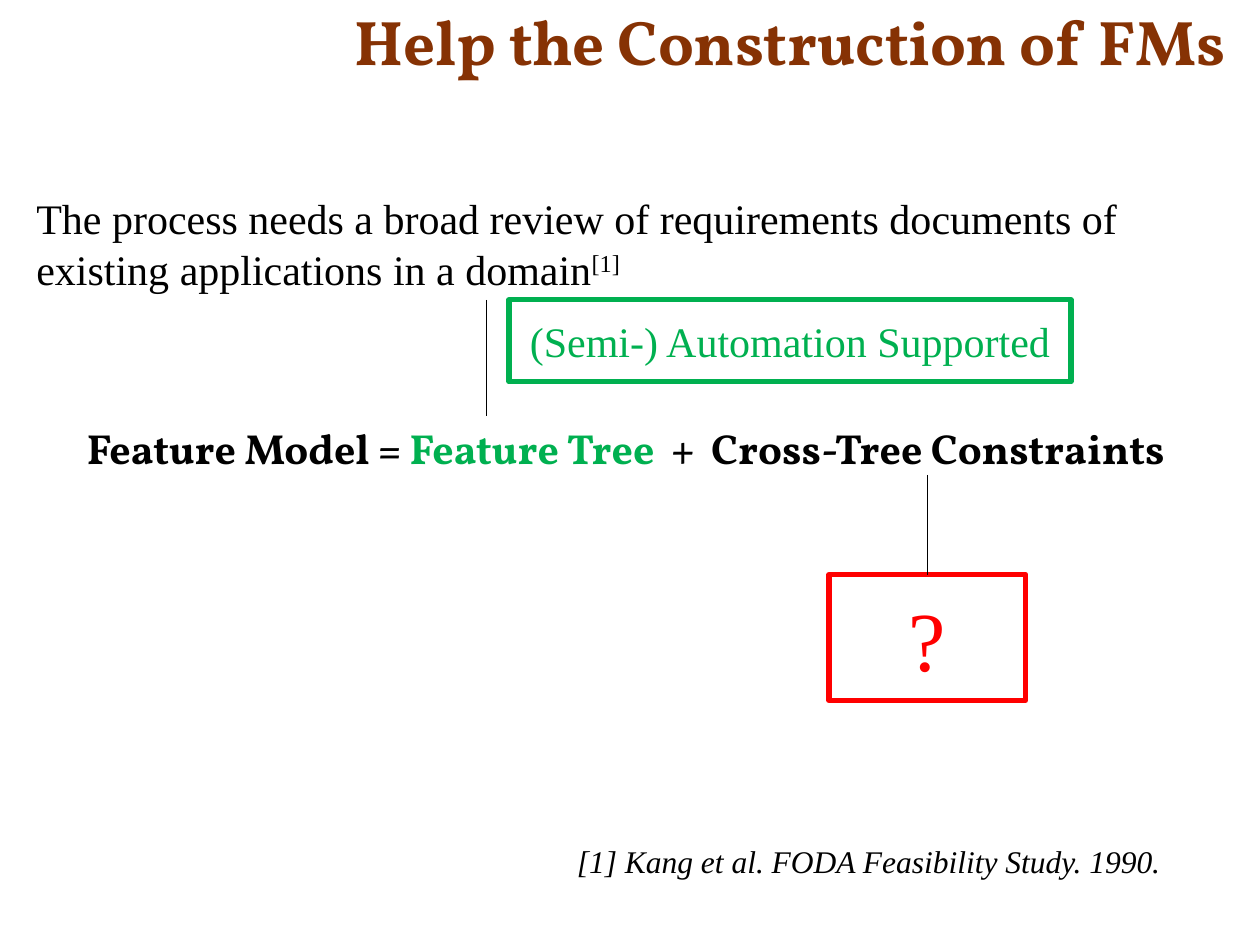
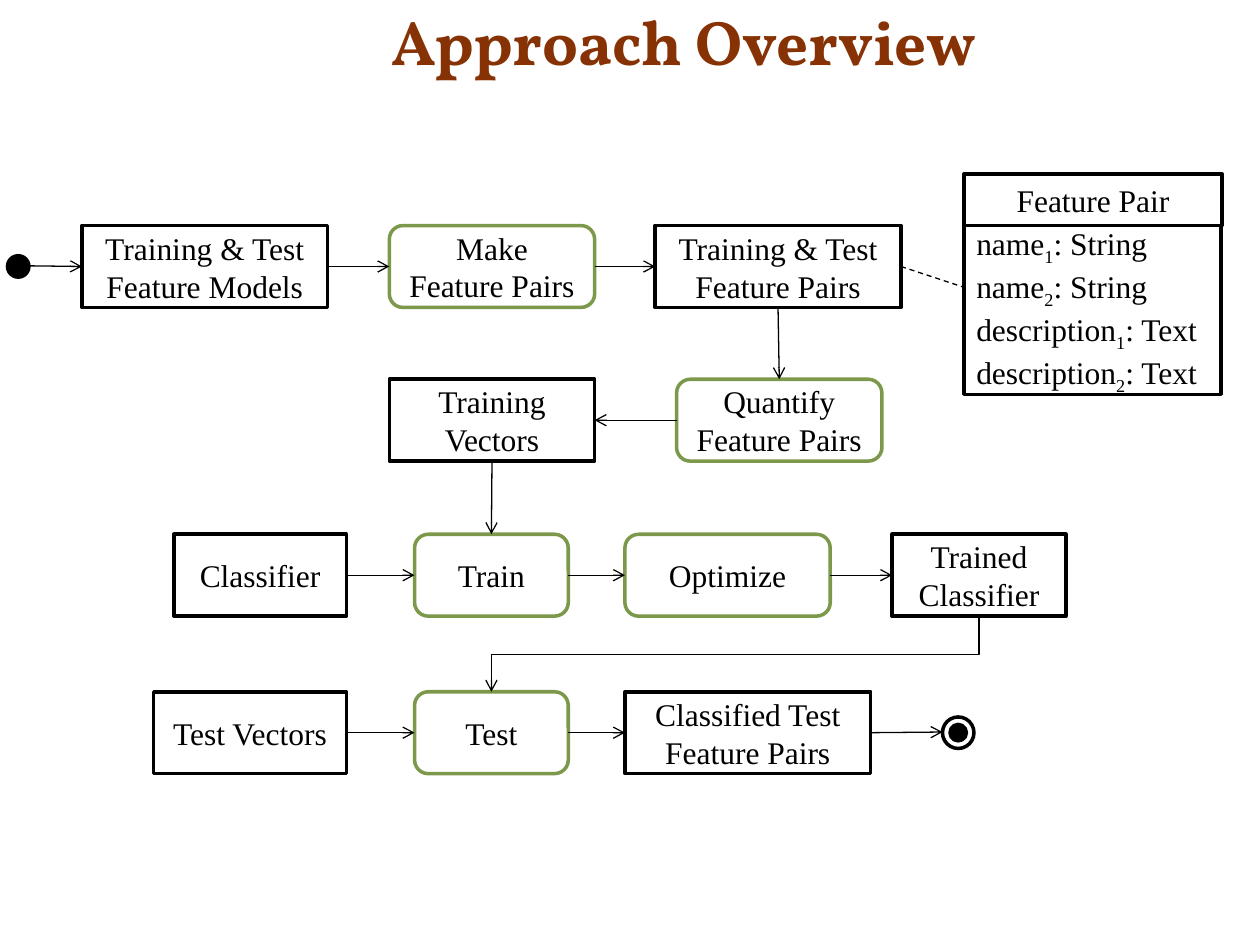
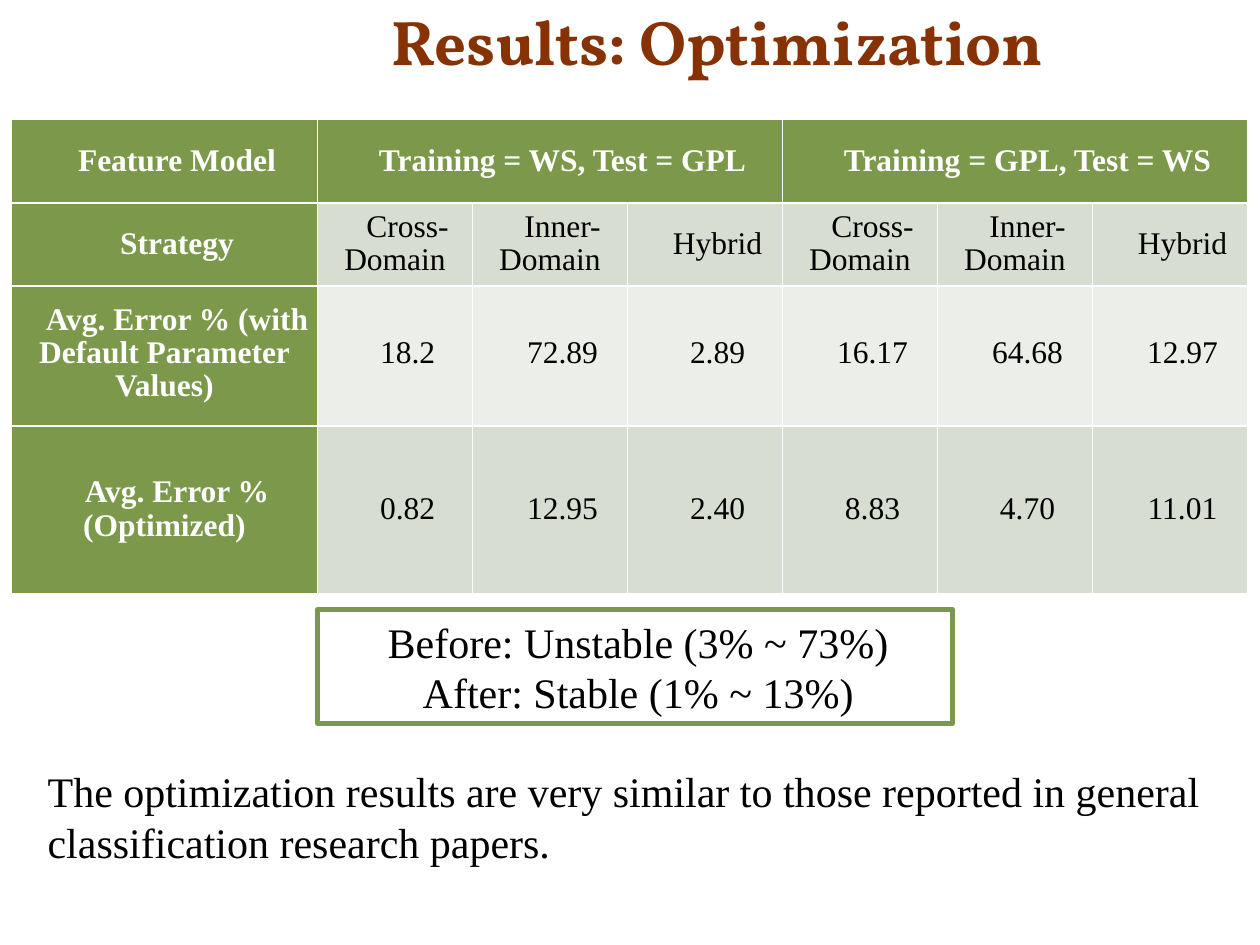
from lxml.etree import SubElement
from pptx import Presentation
from pptx.dml.color import RGBColor
from pptx.enum.dml import MSO_LINE
from pptx.enum.shapes import MSO_CONNECTOR, MSO_SHAPE
from pptx.enum.text import MSO_ANCHOR, MSO_AUTO_SIZE, PP_ALIGN
from pptx.oxml.ns import qn
from pptx.util import Inches, Pt

BLACK = RGBColor(0x00, 0x00, 0x00)
WHITE = RGBColor(0xFF, 0xFF, 0xFF)
BROWN = RGBColor(0x86, 0x32, 0x04)
GREEN = RGBColor(0x00, 0xB0, 0x50)
RED = RGBColor(0xFF, 0x00, 0x00)
OLIVE = RGBColor(0x7C, 0x98, 0x4A)
DARK_BAND = RGBColor(0xD7, 0xDD, 0xD0)
LIGHT_BAND = RGBColor(0xEC, 0xEF, 0xE9)
SERIF = "Times New Roman"
DISPLAY = "Vollkorn"


def write(para, text, size=18, font=SERIF, color=BLACK, bold=False,
          italic=False, baseline=0, align=PP_ALIGN.LEFT):
    para.alignment = align
    span = para.add_run()
    span.text = text
    span.font.size = Pt(size)
    span.font.name = font
    span.font.color.rgb = color
    span.font.bold = bold
    span.font.italic = italic
    if baseline:
        span.font._element.set("baseline", str(baseline * 1000))


def add_box(page, kind, left, top, width, height, line, weight=2, fill=WHITE):
    box = page.shapes.add_shape(kind, Inches(left), Inches(top), Inches(width), Inches(height))
    box.shadow.inherit = False
    if fill is None:
        box.fill.background()
    else:
        box.fill.solid()
        box.fill.fore_color.rgb = fill
    box.line.color.rgb = line
    box.line.width = Pt(weight)
    box.text_frame.word_wrap = True
    box.text_frame.vertical_anchor = MSO_ANCHOR.MIDDLE
    return box


deck = Presentation()
deck.slide_width, deck.slide_height = Inches(10), Inches(7.5)

# Pages and titles
titles = [
    ("Help the Construction of FMs", 2.71, -0.64, 7.13, 1.31),
    ("Approach Overview", 3.01, -0.03, 6.84, 0.7),
    ("Results: Optimization", 3.01, -0.03, 6.84, 0.7),
]
for text, left, top, width, height in titles:
    title = deck.slides.add_slide(deck.slide_layouts[5]).shapes.title
    title.left, title.top = Inches(left), Inches(top)
    title.width, title.height = Inches(width), Inches(height)
    title.text_frame.auto_size = MSO_AUTO_SIZE.NONE
    title.text_frame.vertical_anchor = MSO_ANCHOR.BOTTOM
    write(title.text_frame.paragraphs[0], text, size=36, font=DISPLAY, color=BROWN, bold=True)
problem, overview, results = deck.slides

# Problem: texts, each a list of runs with their formats
model = dict(size=24, font=DISPLAY, bold=True, align=PP_ALIGN.CENTER)
problem_texts = [
    (0.35, 3.3, 9.23, 0.62, [
        ("Feature Model = ", model),
        ("Feature Tree ", model | dict(color=GREEN)),
        (" +  Cross-Tree Constraints", model)]),
    (0.19, 1.48, 9.13, 0.91, [
        ("The process needs a broad review of requirements documents of "
         "existing applications in a domain", dict(size=24)),
        ("[1]", dict(size=24, baseline=30))]),
    (4.48, 6.63, 4.94, 0.4, [
        ("[1] Kang et al. FODA Feasibility Study. 1990.", dict(italic=True))]),
]
for left, top, width, height, spans in problem_texts:
    box = problem.shapes.add_textbox(Inches(left), Inches(top), Inches(width), Inches(height))
    box.text_frame.word_wrap = True
    for text, style in spans:
        write(box.text_frame.paragraphs[0], text, **style)

# Problem: framed answers and their lines
automation = add_box(problem, MSO_SHAPE.RECTANGLE, 4.04, 2.38, 4.46, 0.65, GREEN, 3)
write(automation.text_frame.paragraphs[0], "(Semi-) Automation Supported",
      size=24, color=GREEN, align=PP_ALIGN.CENTER)
question = add_box(problem, MSO_SHAPE.RECTANGLE, 6.58, 4.56, 1.56, 1, RED, 3, None)
write(question.text_frame.paragraphs[0], "?", size=48, color=RED, align=PP_ALIGN.CENTER)

plain_lines = []
for x, top, bottom in [(3.86, 2.38, 3.3), (7.36, 3.77, 4.56)]:
    plain_lines.append(problem.shapes.add_connector(
        MSO_CONNECTOR.STRAIGHT, Inches(x), Inches(top), Inches(x), Inches(bottom)))
plain_lines[1].end_connect(question, 0)

# Overview: steps are rounded and olive, data are square and black
STEP, DATA = MSO_SHAPE.ROUNDED_RECTANGLE, MSO_SHAPE.RECTANGLE
ROW_1, ROW_2, ROW_3, ROW_4 = 1.79, 3.01, 4.24, 5.49
nodes = [
    ("make", STEP, 3.09, ROW_1, 1.63, "Make Feature Pairs"),
    ("models", DATA, 0.65, ROW_1, 1.95, "Training & Test Feature Models"),
    ("pairs", DATA, 5.2, ROW_1, 1.95, "Training & Test Feature Pairs"),
    ("training vectors", DATA, 3.09, ROW_2, 1.63, "Training Vectors"),
    ("test vectors", DATA, 1.22, ROW_4, 1.53, "Test Vectors"),
    ("classified", DATA, 4.96, ROW_4, 1.95, "Classified Test Feature Pairs"),
    ("quantify", STEP, 5.37, ROW_2, 1.63, "Quantify Feature Pairs"),
    ("train", STEP, 3.29, ROW_3, 1.22, "Train"),
    ("optimize", STEP, 4.96, ROW_3, 1.63, "Optimize"),
    ("test", STEP, 3.29, ROW_4, 1.22, "Test"),
    ("classifier", DATA, 1.38, ROW_3, 1.37, "Classifier"),
    ("trained", DATA, 7.08, ROW_3, 1.38, "Trained Classifier"),
]
boxes = {}
for name, kind, left, top, width, label in nodes:
    boxes[name] = add_box(overview, kind, left, top, width, 0.65,
                          OLIVE if kind == STEP else BLACK)
    write(boxes[name].text_frame.paragraphs[0], label, align=PP_ALIGN.CENTER)

# Overview: start and end marks
for left, top, size, fill in [(7.48, 5.69, 0.25, WHITE), (7.54, 5.75, 0.13, BLACK),
                              (0.06, 2.03, 0.17, BLACK)]:
    add_box(overview, MSO_SHAPE.OVAL, left, top, size, size, BLACK, fill=fill)

# Overview: the feature pair class
pair_head = add_box(overview, DATA, 7.65, 1.38, 2.05, 0.41, BLACK)
write(pair_head.text_frame.paragraphs[0], "Feature Pair", align=PP_ALIGN.CENTER)
pair_body = add_box(overview, DATA, 7.65, 1.79, 2.04, 1.34, BLACK)
fields = [("name", "1", ": String"), ("name", "2", ": String"),
          ("description", "1", ": Text"), ("description", "2", ": Text")]
for index, (field, number, kind) in enumerate(fields):
    frame = pair_body.text_frame
    para = frame.add_paragraph() if index else frame.paragraphs[0]
    write(para, field)
    write(para, number, baseline=-25)
    write(para, kind)

# Overview: arrows between the sides of boxes
TOP, LEFT, BOTTOM, RIGHT = range(4)
flows = [
    ("models", RIGHT, "make", LEFT),
    ("make", RIGHT, "pairs", LEFT),
    ("pairs", BOTTOM, "quantify", TOP),
    ("quantify", LEFT, "training vectors", RIGHT),
    ("training vectors", BOTTOM, "train", TOP),
    ("classifier", RIGHT, "train", LEFT),
    ("train", RIGHT, "optimize", LEFT),
    ("optimize", RIGHT, "trained", LEFT),
    ("test vectors", RIGHT, "test", LEFT),
    ("test", RIGHT, "classified", LEFT),
]
arrows = []
for source, source_side, target, target_side in flows:
    arrow = overview.shapes.add_connector(MSO_CONNECTOR.STRAIGHT, 0, 0, 0, 0)
    arrow.begin_connect(boxes[source], source_side)
    arrow.end_connect(boxes[target], target_side)
    arrows.append(arrow)

from_start = overview.shapes.add_connector(
    MSO_CONNECTOR.STRAIGHT, Inches(0.24), Inches(2.11), Inches(0.65), Inches(2.11))
from_start.end_connect(boxes["models"], LEFT)
to_end = overview.shapes.add_connector(
    MSO_CONNECTOR.STRAIGHT, Inches(6.91), Inches(5.81), Inches(7.48), Inches(5.81))
to_end.begin_connect(boxes["classified"], RIGHT)

# The elbow is turned a quarter so that it leaves downwards
elbow = overview.shapes.add_connector(
    MSO_CONNECTOR.ELBOW, Inches(5.54), Inches(3.26), Inches(6.13), Inches(7.13))
elbow._element.spPr.find(qn("a:xfrm")).set("rot", "5400000")
arrows += [from_start, to_end, elbow]

note_line = overview.shapes.add_connector(
    MSO_CONNECTOR.STRAIGHT, Inches(7.15), Inches(2.11), Inches(7.65), Inches(2.28))
note_line.begin_connect(boxes["pairs"], RIGHT)
note_line.line.dash_style = MSO_LINE.DASH
plain_lines.append(note_line)

# Shared look of all lines
for connector in plain_lines + arrows:
    connector.line.color.rgb = BLACK
    connector.line.width = Pt(0.75)
    SubElement(connector._element.spPr, qn("a:effectLst"))
for arrow in arrows:
    SubElement(arrow.line._get_or_add_ln(), qn("a:tailEnd"), type="arrow")

# Results: table
rows = [
    ["Feature Model", "Training = WS, Test = GPL", "", "", "Training = GPL, Test = WS", "", ""],
    ["Strategy"] + ["Cross-Domain", "Inner-Domain", "Hybrid"] * 2,
    ["Avg. Error % (with Default Parameter Values)",
     "18.2", "72.89", "2.89", "16.17", "64.68", "12.97"],
    ["Avg. Error % (Optimized)", "0.82", "12.95", "2.40", "8.83", "4.70", "11.01"],
]
bands = [OLIVE, DARK_BAND, LIGHT_BAND, DARK_BAND]
table = results.shapes.add_table(
    4, 7, Inches(0.09), Inches(0.95), Inches(9.83), Inches(3.77)).table
for column, width in zip(table.columns, [2.43] + [1.23] * 6):
    column.width = Inches(width)
for row, height in zip(table.rows, [0.66, 0.66, 1.11, 1.33]):
    row.height = Inches(height)
for first in (1, 4):
    table.cell(0, first).merge(table.cell(0, first + 2))
for row_index, (texts, band) in enumerate(zip(rows, bands)):
    for column_index, text in enumerate(texts):
        cell = table.cell(row_index, column_index)
        heading = row_index == 0 or column_index == 0
        cell.fill.solid()
        cell.fill.fore_color.rgb = OLIVE if heading else band
        cell.vertical_anchor = MSO_ANCHOR.MIDDLE
        cell.margin_left = cell.margin_right = Inches(0.07)
        cell.margin_top = 0
        cell.margin_bottom = Inches(0.04 if row_index == 2 else 0)
        if text:
            para = cell.text_frame.paragraphs[0]
            para.line_spacing = 0.95
            para._p.get_or_add_pPr().set("indent", str(Inches(0.2)))
            write(para, text, color=WHITE if heading else BLACK, bold=heading,
                  align=PP_ALIGN.CENTER)

# Results: summary and its frame
summary = results.shapes.add_textbox(Inches(0.28), Inches(4.84), Inches(9.57), Inches(2.12))
frame = summary.text_frame
frame.word_wrap = True
write(frame.paragraphs[0], "Before: Unstable (3% ~ 73%)", size=24, align=PP_ALIGN.CENTER)
write(frame.add_paragraph(), "After: Stable (1% ~ 13%)", size=24, align=PP_ALIGN.CENTER)
remark = frame.add_paragraph()
remark.space_before = Pt(28)
write(remark, "The optimization results are very similar to those reported in general "
              "classification research papers.", size=24)
add_box(results, MSO_SHAPE.RECTANGLE, 2.52, 4.84, 5.04, 0.9, OLIVE, 3, None)

deck.save("out.pptx")
